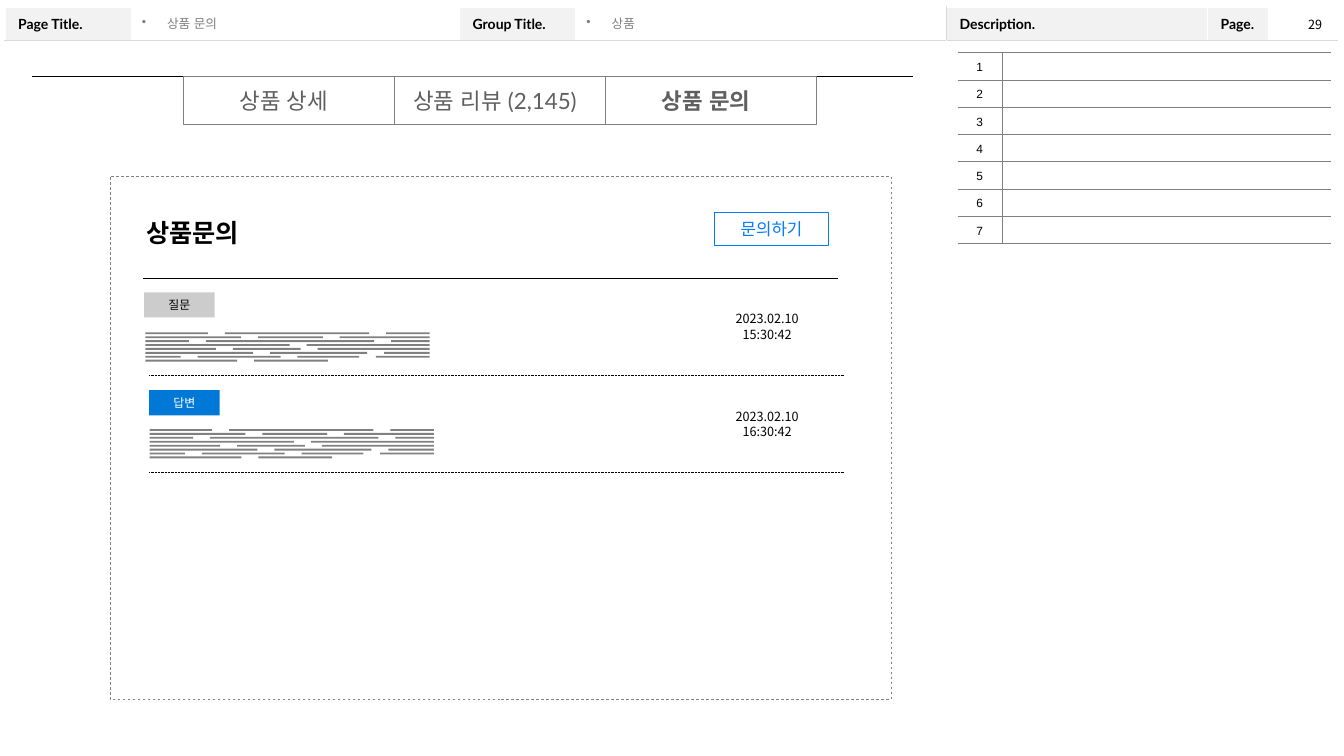
from dataclasses import dataclass

from lxml.etree import SubElement
from pptx import Presentation
from pptx.dml.color import RGBColor
from pptx.enum.dml import MSO_LINE
from pptx.enum.lang import MSO_LANGUAGE_ID
from pptx.enum.shapes import MSO_CONNECTOR, MSO_SHAPE
from pptx.enum.text import MSO_ANCHOR, MSO_AUTO_SIZE, PP_ALIGN
from pptx.oxml.ns import qn
from pptx.util import Pt


@dataclass(frozen=True)
class Theme:
    black: str = "000000"
    white: str = "FFFFFF"
    gray: str = "808080"
    tab_text: str = "5F5F5F"
    rule: str = "D9D9D9"
    label_fill: str = "F2F2F2"
    question: str = "CCCCCC"
    answer: str = "0078D7"
    action: str = "047AFF"
    latin: str = "Lato"
    plain: str = "Arial"
    korean: str = "Noto Sans CJK KR"
    title: float = 18
    tab: float = 16
    button: float = 12
    header: float = 10
    body: float = 9
    small: float = 8.5


def assign(target, values):
    for name, value in values.items():
        setattr(target, name, value)


class Wireframe:
    def __init__(self, slide, theme):
        self.slide = slide
        self.theme = theme

    def put_text(self, frame, text, size, font, color=None, bold=False,
                 frame_format=None, **paragraph_format):
        """Fill a text frame with one styled paragraph."""
        assign(frame, frame_format or {})
        paragraph = frame.paragraphs[0]
        assign(paragraph, paragraph_format)
        if text:
            run = paragraph.add_run()
            run.text = text
            assign(run.font, {"size": Pt(size), "name": font, "bold": bold,
                              "language_id": MSO_LANGUAGE_ID.KOREAN})
            run.font.color.rgb = RGBColor.from_string(color or self.theme.black)
        else:
            SubElement(paragraph._p, qn("a:endParaRPr"), sz=str(int(size * 100)))
        return paragraph

    def paint(self, shape, fill=None, line=None, dash=None):
        shape.shadow.inherit = False
        if fill:
            shape.fill.solid()
            shape.fill.fore_color.rgb = RGBColor.from_string(fill)
        else:
            shape.fill.background()
        if line:
            shape.line.color.rgb = RGBColor.from_string(line)
            assign(shape.line, {"width": Pt(0.5), "dash_style": dash})
        else:
            shape.line.fill.background()

    def box(self, x, y, w, h, group=None, **look):
        shapes = (group or self.slide).shapes
        shape = shapes.add_shape(MSO_SHAPE.RECTANGLE, Pt(x), Pt(y), Pt(w), Pt(h))
        self.paint(shape, **look)
        shape.text_frame.vertical_anchor = MSO_ANCHOR.MIDDLE
        return shape.text_frame

    def label(self, x, y, w, h, text, size, font, color=None, bold=False,
              frame_format=None, **paragraph_format):
        frame = self.slide.shapes.add_textbox(Pt(x), Pt(y), Pt(w), Pt(h)).text_frame
        layout = {"word_wrap": True, **(frame_format or {})}
        return self.put_text(frame, text, size, font, color, bold, layout, **paragraph_format)

    def bullet(self, x, w, text):
        paragraph = self.label(
            x, 8.64, w, 17.28, text, self.theme.body, self.theme.plain, self.theme.gray,
            frame_format={"vertical_anchor": MSO_ANCHOR.MIDDLE},
            line_spacing=0.9, space_before=Pt(10))
        properties = paragraph._p.get_or_add_pPr()
        properties.set("marL", str(Pt(18)))
        properties.set("indent", str(Pt(-18)))
        SubElement(properties, qn("a:buChar"), char="•")

    def rule(self, x1, x2, y, dash=None):
        line = self.slide.shapes.add_connector(
            MSO_CONNECTOR.STRAIGHT, Pt(x1), Pt(y), Pt(x2), Pt(y))
        line.line.color.rgb = RGBColor.from_string(self.theme.black)
        assign(line.line, {"width": Pt(0.5), "dash_style": dash})
        SubElement(line._element.spPr, qn("a:effectLst"))

    def table(self, x, y, widths, heights):
        grid = self.slide.shapes.add_table(
            len(heights), len(widths), Pt(x), Pt(y), Pt(sum(widths)), Pt(sum(heights))).table
        assign(grid, {"first_row": False, "horz_banding": False})
        for column, width in zip(grid.columns, widths):
            column.width = Pt(width)
        for row, height in zip(grid.rows, heights):
            row.height = Pt(height)
        return grid

    def cell(self, cell, borders, fill=None):
        """Set fill and borders; borders maps L, R, T, B to (color, width)."""
        cell.vertical_anchor = MSO_ANCHOR.MIDDLE
        properties = cell._tc.get_or_add_tcPr()
        for side in "LRTB":
            color, width = borders.get(side, (None, 0))
            edge = SubElement(properties, qn(f"a:ln{side}"), w=str(Pt(width)))
            if color:
                SubElement(SubElement(edge, qn("a:solidFill")), qn("a:srgbClr"), val=color)
            else:
                SubElement(edge, qn("a:noFill"))
        if fill:
            cell.fill.solid()
            cell.fill.fore_color.rgb = RGBColor.from_string(fill)
        else:
            cell.fill.background()

    def greeked_text(self, x, y):
        """Draw lines of placeholder words, each given by the right ends of its words."""
        group = self.slide.shapes.add_group_shape()
        for index, ends in enumerate(WORD_ENDS):
            top = y + index * LINE_PITCH
            starts = [0] + [end + WORD_GAP for end in ends[:-1]]
            builder = group.shapes.build_freeform(Pt(x), Pt(top))
            for start, end in zip(starts, ends):
                left, right, bottom = Pt(x + start), Pt(x + end), Pt(top + LINE_HEIGHT)
                builder.move_to(left, Pt(top))
                builder.add_line_segments(
                    [(left, bottom), (right, bottom), (right, Pt(top))], close=True)
            self.paint(builder.convert_to_shape(), fill=self.theme.gray)


WORD_GAP, LINE_PITCH, LINE_HEIGHT = 12.1, 2.8, 1.3
WORD_ENDS = [
    (44.6, 159.8, 203), (68.4, 126.7, 203), (31, 163.4, 203), (103, 203),
    (50.4, 110.9, 203), (77, 158.4, 203), (25.2, 96.5, 152.6, 203), (65.5, 130.3),
]
HEADINGS = {0: "Page Title.", 2: "Group Title.", 4: "Description.", 5: "Page."}
TABS = ["상품 상세", "상품 리뷰 (2,145)", "상품 문의"]


def main():
    deck = Presentation()
    assign(deck, {"slide_width": Pt(960), "slide_height": Pt(540)})
    theme = Theme()
    page = Wireframe(deck.slides.add_slide(deck.slide_layouts[6]), theme)
    centered = {"alignment": PP_ALIGN.CENTER}

    # Page frame with its header row
    frame = page.table(3.6, 5.04, [90.72, 234, 82.8, 264.96, 186.48, 43.92, 48.96], [24, 480])
    white, hairline = (theme.white, 1), (theme.rule, 0.25)
    for row in range(2):
        for column in range(7):
            cell = frame.cell(row, column)
            heading = HEADINGS.get(column) if row == 0 else None
            page.cell(cell, {"L": hairline if column == 4 else white,
                             "R": hairline if column == 3 else white,
                             "T": hairline if row else white,
                             "B": white if row else hairline},
                      theme.label_fill if heading else None)
            assign(cell, {"margin_left": Pt(9.36), "margin_right": Pt(9.36),
                          "margin_top": Pt(5.04), "margin_bottom": Pt(5.04)})
            page.put_text(cell.text_frame, heading, theme.header, theme.latin, bold=True)
    for first, last in [(0, 3), (4, 6)]:
        frame.cell(1, first).merge(frame.cell(1, last))
    page.bullet(94.32, 233.28, "상품 문의")
    page.bullet(411.84, 262.08, "상품")

    # Description list
    notes = page.table(684, 37.44, [31.68, 234.72], [19.13] * 7)
    edge = (theme.gray, 0.25)
    for row in range(7):
        for column, inner, text in [(0, "R", str(row + 1)), (1, "L", None)]:
            cell = notes.cell(row, column)
            page.cell(cell, {"T": edge, "B": edge, inner: edge})
            page.put_text(cell.text_frame, text, theme.small, theme.plain,
                          line_spacing=1.2, **centered)
    page.label(927.36, 8.64, 24.48, 18, "29", theme.body, theme.korean,
               frame_format={"word_wrap": False, "auto_size": MSO_AUTO_SIZE.SHAPE_TO_FIT_TEXT})

    # Product tabs
    page.rule(23.04, 652.32, 54.72)
    tabs = page.slide.shapes.add_group_shape()
    for index, name in enumerate(TABS):
        tab = page.box(131.04 + index * 150.8, 54.72, 150.8, 33.84, tabs, line=theme.gray)
        page.put_text(tab, name, theme.tab, theme.latin, theme.tab_text, name == TABS[-1],
                      {"margin_right": Pt(14.4), "word_wrap": True}, **centered)

    # Inquiry panel
    page.box(78.48, 126, 558, 373.68, fill=theme.white, line=theme.gray, dash=MSO_LINE.DASH)
    ask = page.box(510.48, 151.92, 81.36, 23.04, fill=theme.white, line=theme.action)
    no_margins = {f"margin_{side}": 0 for side in ("left", "top", "right", "bottom")}
    page.put_text(ask, "문의하기", theme.button, theme.latin, theme.action,
                  frame_format=no_margins, **centered)
    fit = {"auto_size": MSO_AUTO_SIZE.SHAPE_TO_FIT_TEXT}
    page.label(97.2, 151.92, 87.12, 28.08, "상품문의", theme.title, theme.korean,
               bold=True, frame_format=fit)
    page.rule(102.24, 598.32, 198.72)

    # Question and answer entries
    entries = [
        ("질문", 102.96, 208.8, theme.question, theme.black, 103.9, 237.4, "2023.02.10 15:30:42", 218.88),
        ("답변", 106.56, 278.64, theme.answer, theme.white, 106.9, 306.5, "2023.02.10 16:30:42", 288.72),
    ]
    for kind, x, y, fill, ink, text_x, text_y, posted, posted_y in entries:
        badge = page.box(x, y, 50.4, 18, fill=fill)
        page.put_text(badge, kind, theme.small, theme.latin, ink,
                      frame_format={"word_wrap": False}, **centered)
        page.greeked_text(text_x, text_y)
        page.label(506.16, posted_y, 83.52, 28.8, posted, theme.body, theme.korean,
                   frame_format=fit, **centered)
        page.rule(106.56, 603.36, posted_y + 48.96, MSO_LINE.ROUND_DOT)

    deck.save("out.pptx")


if __name__ == "__main__":
    main()
